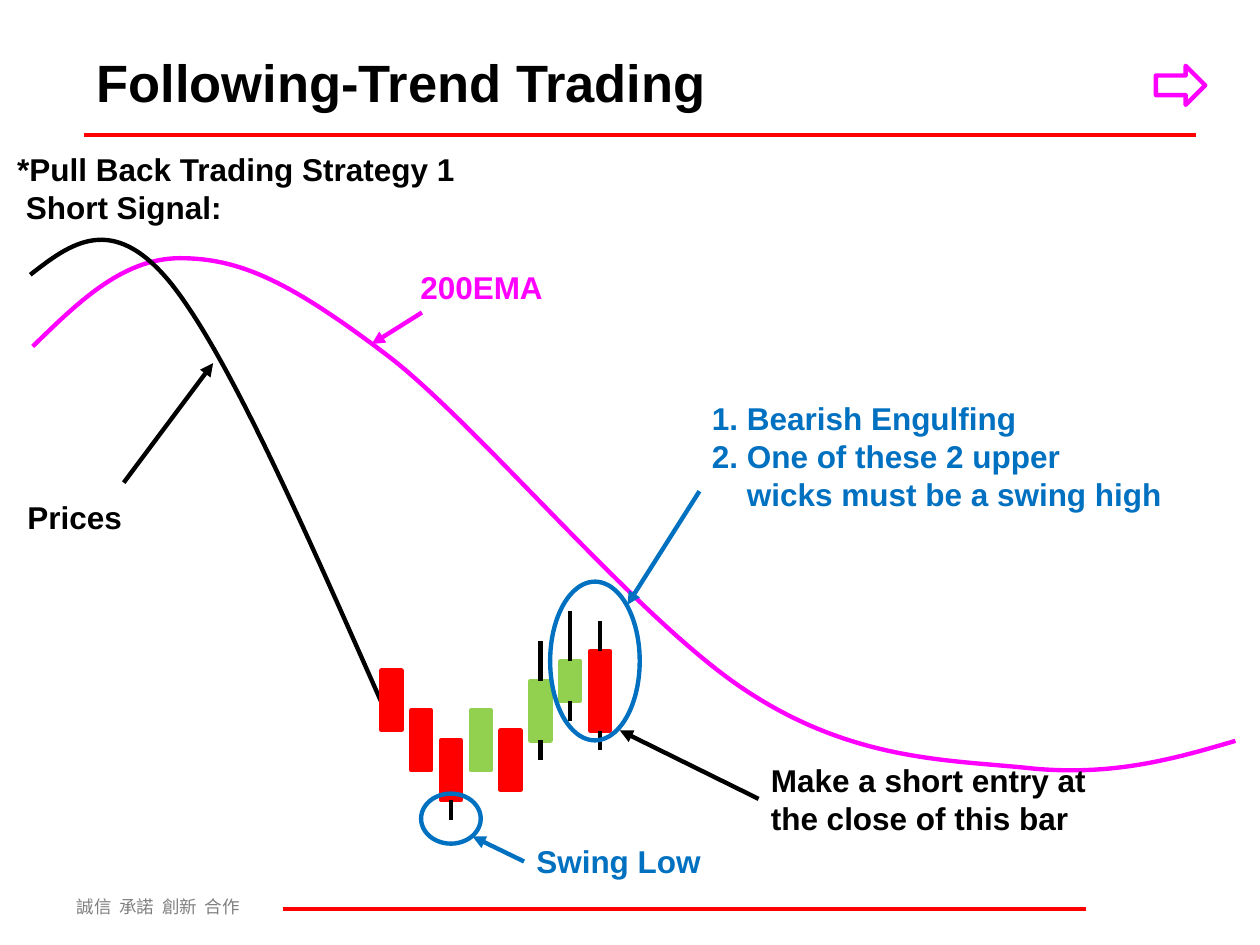
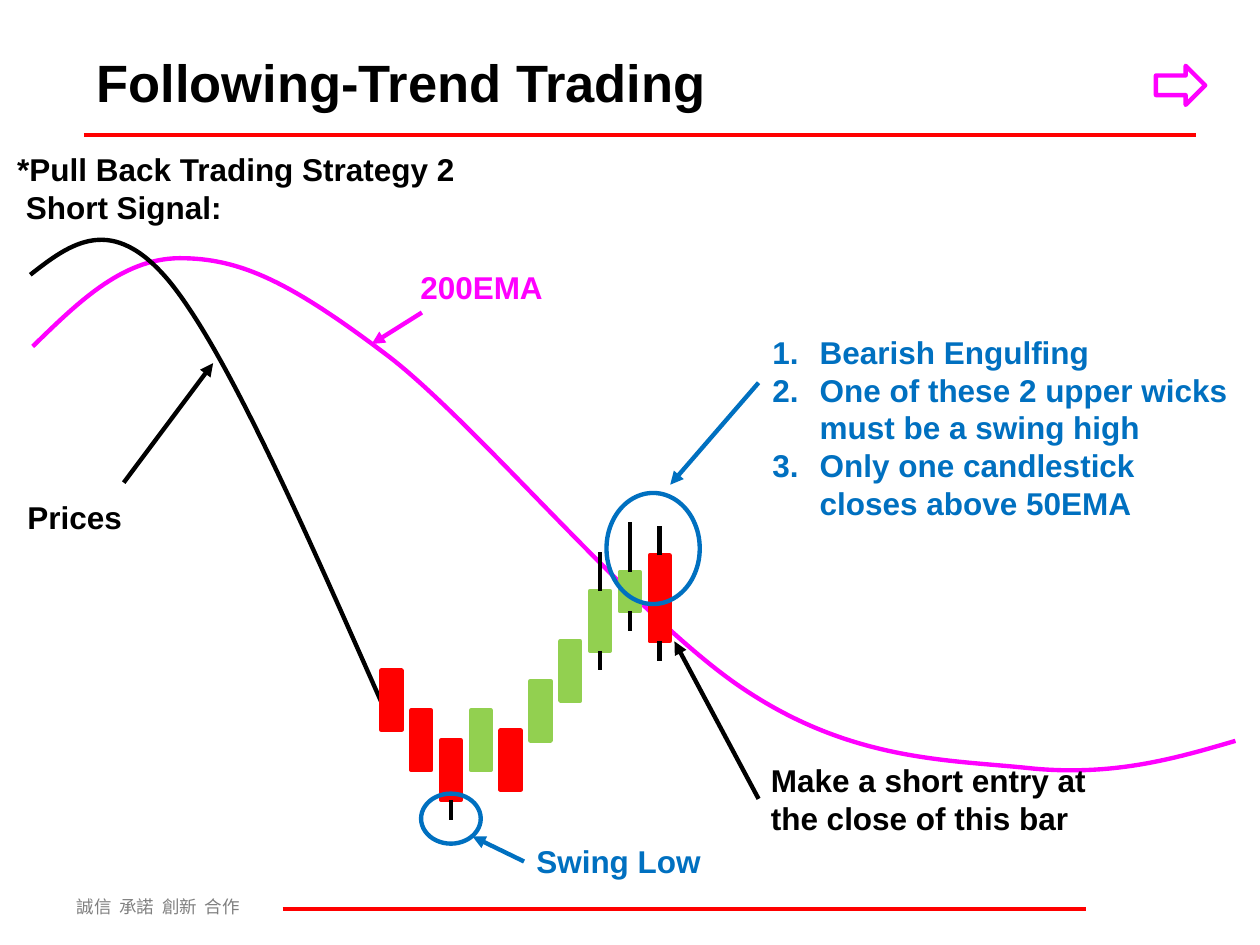
import pptx
import pptx.dml.color
import pptx.enum.shapes
import pptx.enum.text
import pptx.oxml.ns
import pptx.util
from lxml import etree

Pt = pptx.util.Pt
qn = pptx.oxml.ns.qn
RGBColor = pptx.dml.color.RGBColor
MSO_SHAPE = pptx.enum.shapes.MSO_SHAPE
MIDDLE = pptx.enum.text.MSO_ANCHOR.MIDDLE

BLACK = RGBColor(0x00, 0x00, 0x00)
RED = RGBColor(0xFF, 0x00, 0x00)
GREEN = RGBColor(0x92, 0xD0, 0x50)
BLUE = RGBColor(0x00, 0x70, 0xC0)
MAGENTA = RGBColor(0xFF, 0x00, 0xFF)
GREY = RGBColor(0x80, 0x80, 0x80)

TITLE = "Following-Trend Trading"
MOTTO = ["誠信", "承諾", "創新", "合作"]
MOTTO_PITCH = 24.4
RULES = [((48, 77), (683.2, 77)), ((161.5, 519.5), (620.8, 519.5))]
STROKE = 2.5
RULE_STROKE = 2.25

EMA_CURVE = [
    (18.7, 198), (45.4, 172.1), (71.3, 146.2), (105.8, 147.6),
    (139.7, 148.3), (169.2, 163.4), (223.2, 204.5),
    (276.5, 246.2), (367.2, 357.1), (428.4, 396),
    (489.6, 435.6), (544.3, 434.2), (590.4, 439.2),
    (637.2, 443.5), (671.8, 433.4), (706, 423.4),
]
PRICE_CURVE = [
    (17.3, 157), (40.3, 139), (64.1, 121), (97.2, 161.3),
    (130.3, 202.3), (174.2, 302.4), (218.2, 401.8),
]
STEPS = 24

LABELS = [
    ("200EMA", (233.1, 149.8, 153.4, 28.8), MAGENTA),
    ("Prices", (8.6, 280.8, 108, 28.8), BLACK),
    ("Make a short entry at the close of this bar", (433.4, 431.3, 209.5, 50.4), BLACK),
    ("Swing Low", (299.4, 477.4, 200.2, 28.8), BLUE),
]
ARROWS = [
    ((241.1, 178.6), (212.4, 196.6), MAGENTA),
    ((70.7, 275.8), (121.8, 207.5), BLACK),
    ((299.5, 492.3), (270, 478), BLUE),
]
SWING_LOW_RING = (240.6, 453.5, 34.1, 28.6)

CANDLE_LEFT, CANDLE_PITCH, CANDLE_WIDTH = 218, 17.03, 11.4
OPENING_CANDLES = [
    (RED, 383.2, 383.2, 417.2, 417.2),
    (RED, 406, 406, 440, 440),
    (RED, 423.1, 423.1, 457.1, 468.5),
    (GREEN, 406, 406, 440, 440),
    (RED, 417.4, 417.4, 451.4, 451.4),
]

STRATEGIES = [
    {
        "heading": ["*Pull Back Trading Strategy 1", "Short Signal:"],
        "candles": [
            (GREEN, 366.5, 389.1, 423.1, 434.2),
            (GREEN, 349.2, 377.9, 400.4, 411.8),
            (RED, 355, 372.2, 417.5, 428.5),
        ],
        "ring": (314.4, 332.4, 51.2, 90.7),
        "rules": ["1. Bearish Engulfing", "2. One of these 2 upper",
                  "wicks must be a swing high"],
        "rules_box": (399.7, 224.6, 277.9, 72),
        "rule_indents": [0, 0, 20],
        "numbered": False,
        "arrows": [((399.7, 280.7), (358.5, 345.6), BLUE),
                   ((433.5, 456.5), (354.2, 417.4), BLACK)],
    },
    {
        "heading": ["*Pull Back Trading Strategy 2", "Short Signal:"],
        "candles": [
            (GREEN, 389.1, 389.1, 423.1, 423.1),
            (GREEN, 366.5, 366.5, 400.5, 400.5),
            (GREEN, 315.4, 337.7, 371.9, 383.1),
            (GREEN, 298.1, 326.8, 349.3, 360.6),
            (RED, 300.8, 317.4, 366.5, 377.8),
        ],
        "ring": (346.6, 281.7, 53.3, 63.5),
        "rules": ["Bearish Engulfing",
                  "One of these 2 upper wicks must be a swing high",
                  "Only one candlestick closes above 50EMA"],
        "rules_box": (434.3, 186.7, 277.2, 115.2),
        "rule_indents": [27, 27, 27],
        "numbered": True,
        "arrows": [((433.5, 218.7), (383, 277), BLUE),
                   ((433.5, 456.5), (385.4, 366.5), BLACK)],
    },
]


def add_text(slide, lines, box, color, size=18, bold=True, font="Arial"):
    frame = slide.shapes.add_textbox(*map(Pt, box)).text_frame
    frame.word_wrap = True
    frame.text = "\n".join(lines)
    for paragraph in frame.paragraphs:
        for run in paragraph.runs:
            run.font.size, run.font.bold, run.font.name = Pt(size), bold, font
            run.font.color.rgb = color
            etree.SubElement(run.font._element, qn("a:ea"), typeface=font)
    return frame


def add_line(slide, start, end, color, width=STROKE, arrow=False):
    line = slide.shapes.add_connector(
        pptx.enum.shapes.MSO_CONNECTOR.STRAIGHT, *map(Pt, start + end))
    line.line.color.rgb = color
    line.line.width = Pt(width)
    if arrow:
        etree.SubElement(line.line._get_or_add_ln(), qn("a:tailEnd"), type="triangle")
    etree.SubElement(line._element.spPr, qn("a:effectLst"))


def style_shape(shape, color, filled=False):
    shape.shadow.inherit = False
    shape.line.color.rgb = color
    shape.line.width = Pt(STROKE)
    if filled:
        shape.fill.solid()
        shape.fill.fore_color.rgb = color
    else:
        shape.fill.background()


def add_shape(slide, preset, box, color, filled=False):
    style_shape(slide.shapes.add_shape(preset, *map(Pt, box)), color, filled)


def bezier(p0, p1, p2, p3, t):
    u = 1 - t
    return tuple(Pt(u**3 * a + 3 * u * u * t * b + 3 * u * t * t * c + t**3 * d)
                 for a, b, c, d in zip(p0, p1, p2, p3))


def add_curve(slide, points, color):
    extent = [bezier(*points[i:i + 4], step / STEPS)
              for i in range(0, len(points) - 1, 3)
              for step in range(1, STEPS + 1)]
    builder = slide.shapes.build_freeform(*map(Pt, points[0]))
    builder.add_line_segments(extent, close=False)
    curve = builder.convert_to_shape()
    outline = next(curve._element.iter(qn("a:path")))
    for segment in outline.findall(qn("a:lnTo")):
        outline.remove(segment)
    for i in range(1, len(points), 3):
        segment = etree.SubElement(outline, qn("a:cubicBezTo"))
        for x, y in points[i:i + 3]:
            etree.SubElement(segment, qn("a:pt"),
                             x=str(Pt(x) - curve.left), y=str(Pt(y) - curve.top))
    style_shape(curve, color)


def add_candles(slide, candles):
    for i, (color, high, top, bottom, low) in enumerate(candles):
        left = CANDLE_LEFT + i * CANDLE_PITCH
        middle = left + CANDLE_WIDTH / 2
        add_shape(slide, MSO_SHAPE.RECTANGLE,
                  (left, top, CANDLE_WIDTH, bottom - top), color, True)
        for start, end in ((top, high), (bottom, low)):
            if start != end:
                add_line(slide, (middle, start), (middle, end), BLACK)


def indent_paragraph(paragraph, left, hanging=0):
    props = paragraph._p.get_or_add_pPr()
    props.set("marL", str(Pt(left)))
    props.set("indent", str(-Pt(hanging)))
    return props


def add_rules(slide, strategy):
    frame = add_text(slide, strategy["rules"], strategy["rules_box"], BLUE)
    for paragraph, left in zip(frame.paragraphs, strategy["rule_indents"]):
        if strategy["numbered"]:
            props = indent_paragraph(paragraph, left, left)
            etree.SubElement(props, qn("a:buFont"), typeface="+mj-lt")
            etree.SubElement(props, qn("a:buAutoNum"), type="arabicPeriod")
        else:
            indent_paragraph(paragraph, left)


def add_frame(slide):
    motto = add_text(slide, ["\t".join(MOTTO)], (36.7, 508.3, 181.4, 19.4),
                     GREY, 10, False, "Noto Sans CJK SC")
    tabs = etree.SubElement(motto.paragraphs[0]._p.get_or_add_pPr(), qn("a:tabLst"))
    for i in range(1, len(MOTTO)):
        etree.SubElement(tabs, qn("a:tab"), pos=str(Pt(i * MOTTO_PITCH)), algn="l")
    for start, end in RULES:
        add_line(slide, start, end, RED, RULE_STROKE)
    title = add_text(slide, [TITLE], (48.2, 21.6, 652.3, 49.7), BLACK, 30)
    title.vertical_anchor = MIDDLE
    add_shape(slide, MSO_SHAPE.RIGHT_ARROW, (660.5, 37.6, 28.2, 22.4), MAGENTA)


def add_heading(slide, lines):
    heading = add_text(slide, lines, (2.7, 105.8, 711.4, 5.8), BLACK)
    heading.vertical_anchor = MIDDLE
    heading.margin_top = heading.margin_bottom = Pt(2.2)
    first, second = heading.paragraphs
    first.line_spacing = second.line_spacing = 0.9
    second.space_before = Pt(1.8)
    indent_paragraph(second, 5)


def add_strategy(deck, strategy):
    slide = deck.slides.add_slide(deck.slide_layouts[6])
    add_frame(slide)
    add_heading(slide, strategy["heading"])
    add_curve(slide, EMA_CURVE, MAGENTA)
    add_curve(slide, PRICE_CURVE, BLACK)
    add_candles(slide, OPENING_CANDLES + strategy["candles"])
    for ring in (strategy["ring"], SWING_LOW_RING):
        add_shape(slide, MSO_SHAPE.OVAL, ring, BLUE)
    for label, box, color in LABELS:
        add_text(slide, [label], box, color)
    add_rules(slide, strategy)
    for start, end, color in ARROWS + strategy["arrows"]:
        add_line(slide, start, end, color, arrow=True)


def main():
    deck = pptx.Presentation()
    deck.slide_width, deck.slide_height = Pt(720), Pt(540)
    for strategy in STRATEGIES:
        add_strategy(deck, strategy)
    deck.save("out.pptx")


if __name__ == "__main__":
    main()
